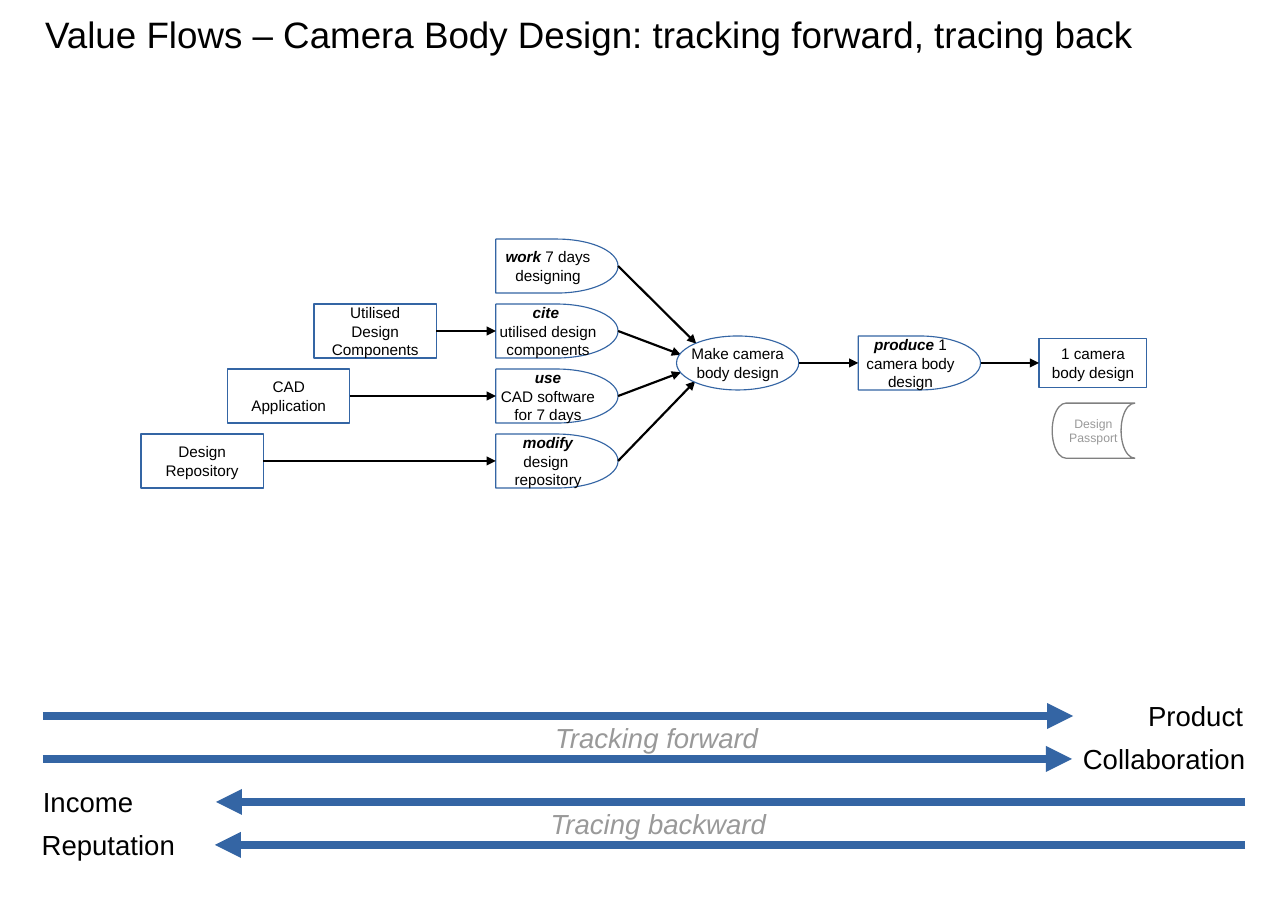
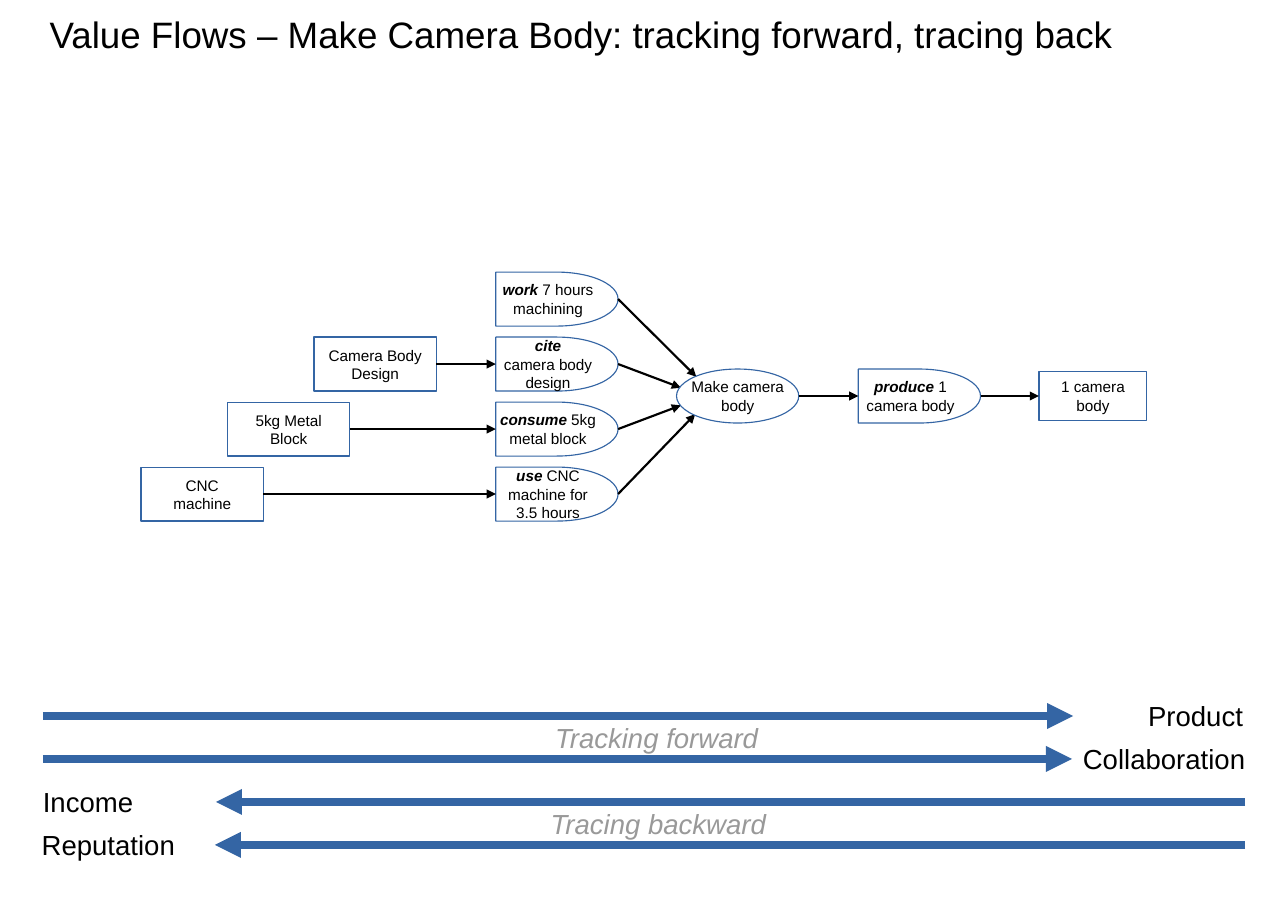
from lxml.etree import SubElement
from pptx import Presentation
from pptx.dml.color import RGBColor
from pptx.enum.shapes import MSO_CONNECTOR as Connector, MSO_SHAPE as Preset
from pptx.enum.text import MSO_ANCHOR as Anchor, PP_ALIGN as Align
from pptx.oxml.ns import qn
from pptx.util import Inches, Pt

BLUE = RGBColor(0x34, 0x65, 0xA4)
BLACK = RGBColor(0, 0, 0)
WHITE = RGBColor(255, 255, 255)
GREY = RGBColor(0x99, 0x99, 0x99)
DARK_GREY = RGBColor(0x80, 0x80, 0x80)

PLAIN = {"name": "Arial", "bold": False, "italic": False}
EMPHASIS = {"name": "Arial", "bold": True, "italic": True}
SLANTED = {"name": "Arial", "bold": False, "italic": True}

FLOWS = [
    {
        "title": "Value Flows – Camera Body Design: tracking forward, tracing back",
        "title_left": 0.31,
        "shift": 0,
        "effects": [
            ("work", " 7 days\ndesigning"),
            ("cite ", "\nutilised design\ncomponents"),
            ("use", "\nCAD software\nfor 7 days"),
            ("modify", "\ndesign \nrepository"),
        ],
        "resources": ["Utilised\nDesign\nComponents", "CAD\nApplication", "Design\nRepository"],
        "process": "Make camera\nbody design",
        "output": ("produce", " 1\ncamera body\ndesign"),
        "product": "1 camera\nbody design",
        "passport": "Design\nPassport",
    },
    {
        "title": "Value Flows – Make Camera Body: tracking forward, tracing back",
        "title_left": 0.35,
        "shift": 0.3,
        "effects": [
            ("work", " 7 hours\nmachining"),
            ("cite", "\ncamera body\ndesign"),
            ("consume ", "5kg\nmetal block"),
            ("use", " CNC\nmachine for\n3.5 hours"),
        ],
        "resources": ["Camera Body\nDesign", "5kg Metal\nBlock", "CNC\nmachine"],
        "process": "Make camera\nbody",
        "output": ("produce", " 1\ncamera body"),
        "product": "1 camera\nbody",
    },
]

BAND_TOP, BAND_STEP = 6.5, 0.39
BANDS = [
    ("Product", 9.82, 1.56, Align.RIGHT, 0.39, 9.74),
    ("Collaboration", 9.73, 1.68, Align.LEFT, 0.39, 9.73),
    ("Income", 0.29, 1.28, Align.LEFT, 11.3, 1.96),
    ("Reputation", 0.28, 1.68, Align.LEFT, 11.3, 1.95),
]
DIRECTIONS = [("Tracking forward", 4.94, 6.5), ("Tracing backward", 4.9, 7.28)]

NODE_WIDTH, NODE_HEIGHT = 1.11, 0.49
EFFECT_LEFT, EFFECT_TOP, ROW_STEP = 4.5, 2.17, 0.59
RESOURCE_LEFT, RESOURCE_STEP = 2.85, 0.785
PROCESS_LEFT, PROCESS_TOP = 6.14, 3.05
OUTPUT_LEFT, PRODUCT_LEFT = 7.79, 9.43
PROCESS_ENTRIES = [(6.32, 3.12), (6.18, 3.22), (6.18, 3.38), (6.31, 3.46)]
LEFT_SITE, RIGHT_SITE = 1, 3


def write(frame, text, size, color=BLACK, style=PLAIN, align=Align.LEFT, emphasis=""):
    for index, line in enumerate(text.split("\n")):
        paragraph = frame.add_paragraph() if index else frame.paragraphs[0]
        paragraph.alignment = align
        lead = emphasis if index == 0 else ""
        for words, look in ((lead, EMPHASIS), (line, style)):
            if words:
                run = paragraph.add_run()
                run.text = words
                run.font.size = Pt(size)
                run.font.color.rgb = color
                for name, value in look.items():
                    setattr(run.font, name, value)


def add_title(slide, text, left):
    title = slide.shapes.title
    box = {"left": left, "top": 0.06, "width": 11, "height": 0.84}
    for name, value in box.items():
        setattr(title, name, Inches(value))
    title.text_frame.vertical_anchor = Anchor.TOP
    write(title.text_frame, text, 24)


def add_label(slide, text, left, top, width, **looks):
    box = slide.shapes.add_textbox(Inches(left), Inches(top), Inches(width), Inches(0.38))
    box.text_frame.word_wrap = True
    write(box.text_frame, text, 18, **looks)


def add_arrow(slide, begin, end, color=BLACK, width=1.42):
    points = [Inches(value) for value in (*begin, *end)]
    arrow = slide.shapes.add_connector(Connector.STRAIGHT, *points)
    arrow.line.color.rgb = color
    arrow.line.width = Pt(width)
    properties = arrow._element.spPr
    SubElement(properties.find(qn("a:ln")), qn("a:tailEnd"), type="triangle")
    SubElement(properties, qn("a:effectLst"))
    return arrow


def add_node(slide, preset, label, left, top, width=NODE_WIDTH, height=NODE_HEIGHT,
             line=BLUE, line_width=0, size=10, color=BLACK):
    node = slide.shapes.add_shape(
        preset, Inches(left), Inches(top), Inches(width), Inches(height))
    node.shadow.inherit = False
    node.fill.solid()
    node.fill.fore_color.rgb = WHITE
    node.line.color.rgb = line
    node.line.width = Pt(line_width)
    node.text_frame.word_wrap = False
    node.text_frame.vertical_anchor = Anchor.MIDDLE
    emphasis, text = label if isinstance(label, tuple) else ("", label)
    write(node.text_frame, text, size, color, align=Align.CENTER, emphasis=emphasis)
    return node


def add_bands(slide):
    for index, (text, left, width, align, start, finish) in enumerate(BANDS):
        y = BAND_TOP + index * BAND_STEP
        add_arrow(slide, (start, y), (finish, y), BLUE, 5.67)
        add_label(slide, text, left, y - 0.2, width, align=align)
    for text, left, top in DIRECTIONS:
        add_label(slide, text, left, top, 2.25, color=GREY, style=SLANTED)


def add_inputs(slide, flow):
    shift = flow["shift"]
    for row, (label, entry) in enumerate(zip(flow["effects"], PROCESS_ENTRIES)):
        top = EFFECT_TOP + shift + row * ROW_STEP
        middle = top + NODE_HEIGHT / 2
        effect = add_node(slide, Preset.FLOWCHART_DELAY, label, EFFECT_LEFT, top)
        use = add_arrow(slide, (EFFECT_LEFT + NODE_WIDTH, middle), (entry[0], entry[1] + shift))
        use.begin_connect(effect, RIGHT_SITE)
        if row:
            left = RESOURCE_LEFT - (row - 1) * RESOURCE_STEP
            resource = add_node(slide, Preset.RECTANGLE, flow["resources"][row - 1], left, top)
            supply = add_arrow(slide, (left + NODE_WIDTH, middle), (EFFECT_LEFT, middle))
            supply.begin_connect(resource, RIGHT_SITE)
            supply.end_connect(effect, LEFT_SITE)


def add_outputs(slide, flow):
    top = PROCESS_TOP + flow["shift"]
    middle = top + NODE_HEIGHT / 2
    add_node(slide, Preset.OVAL, flow["process"], PROCESS_LEFT, top)
    output = add_node(slide, Preset.FLOWCHART_DELAY, flow["output"], OUTPUT_LEFT, top)
    product = add_node(slide, Preset.RECTANGLE, flow["product"],
                       PRODUCT_LEFT, middle - 0.22, 0.98, 0.44)
    result = add_arrow(slide, (PROCESS_LEFT + NODE_WIDTH, middle), (OUTPUT_LEFT, middle))
    result.end_connect(output, LEFT_SITE)
    delivery = add_arrow(slide, (OUTPUT_LEFT + NODE_WIDTH, middle), (PRODUCT_LEFT, middle))
    delivery.begin_connect(output, RIGHT_SITE)
    delivery.end_connect(product, LEFT_SITE)
    if "passport" in flow:
        add_node(slide, Preset.FLOWCHART_STORED_DATA, flow["passport"], 9.55, 3.66, 0.75, 0.5,
                 line=DARK_GREY, line_width=0.85, size=8, color=GREY)


def main():
    presentation = Presentation()
    presentation.slide_width = Inches(11.69)
    presentation.slide_height = Inches(8.27)
    for flow in FLOWS:
        slide = presentation.slides.add_slide(presentation.slide_layouts[5])
        add_title(slide, flow["title"], flow["title_left"])
        add_bands(slide)
        add_inputs(slide, flow)
        add_outputs(slide, flow)
    presentation.save("out.pptx")


if __name__ == "__main__":
    main()
